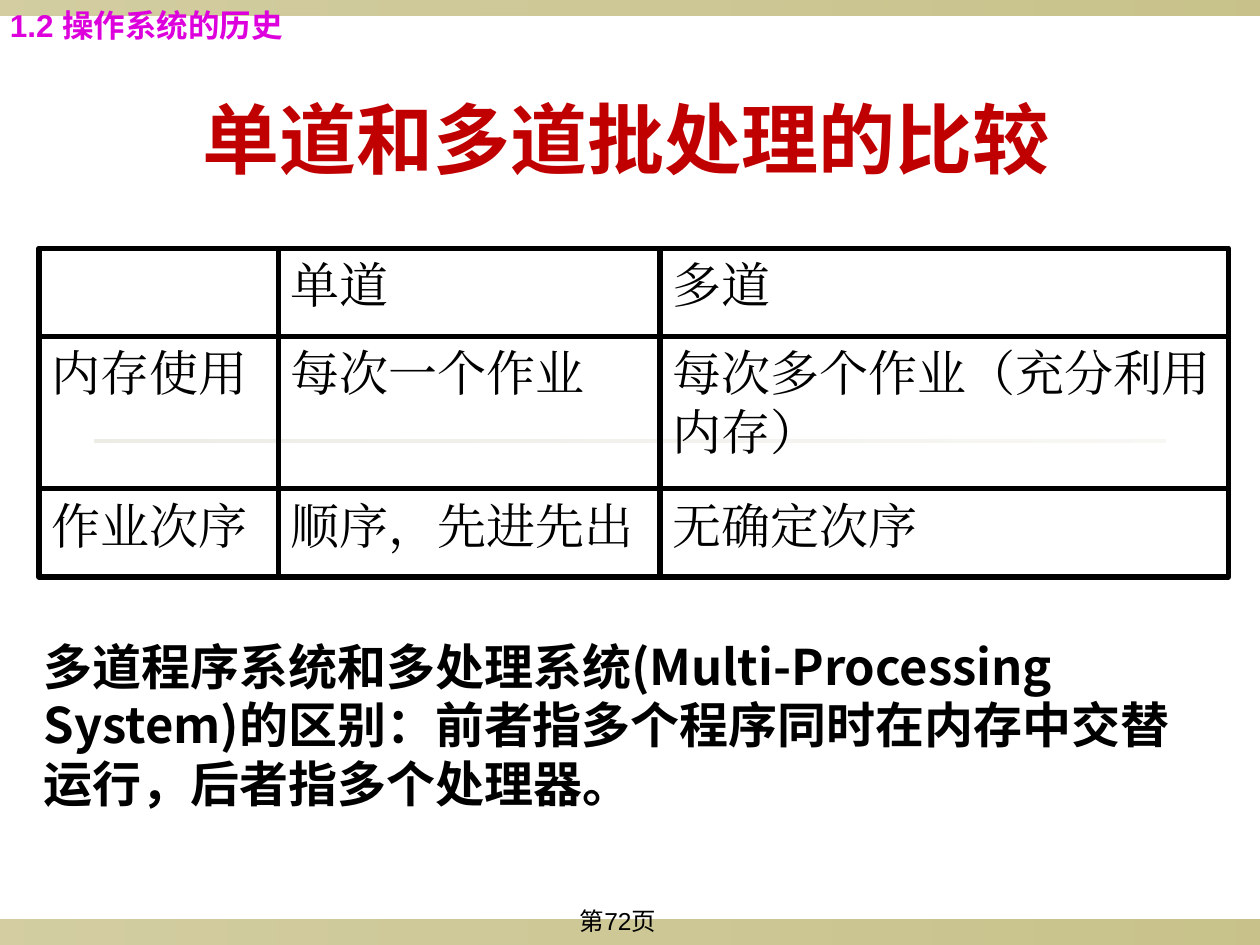
from itertools import accumulate

from lxml import etree
from pptx import Presentation
from pptx import util as u
from pptx.dml import color
from pptx.enum import shapes, text
from pptx.oxml import ns

COLORS = {
    "bar": "918415",
    "rule": "DCD9CC",
    "title": "C00000",
    "section": "DD00DD",
    "text": "000000",
}
CJK_FONT = "Noto Sans CJK SC"
ROWS = [
    ["", "单道", "多道"],
    ["内存使用", "每次一个作业", "每次多个作业（充分利用内存）"],
    ["作业次序", "顺序，先进先出", "无确定次序"],
]


def rgb(name):
    return color.RGBColor.from_string(COLORS[name])


def box(left, top, width, height):
    return tuple(u.Inches(value) for value in (left, top, width, height))


def add_run(paragraph, words, size, font, color_name="text", bold=False):
    run = paragraph.add_run()
    run.text = words
    run.font.size = u.Pt(size)
    run.font.name = font
    run.font.bold = bold
    run.font.color.rgb = rgb(color_name)
    east_asian = etree.SubElement(run.font._element, ns.qn("a:ea"))
    east_asian.set("typeface", CJK_FONT if bold else font)


def add_band(slide, area, color_name, opacities):
    shape = slide.shapes.add_shape(shapes.MSO_SHAPE.RECTANGLE, *area)
    shape.shadow.inherit = False
    shape.line.fill.background()
    shape.fill.gradient()
    shape.fill.gradient_angle = 0
    for stop, position in zip(shape.fill.gradient_stops, (0, 1)):
        stop.position = position
        stop.color.rgb = rgb(color_name)
    color_elements = shape._element.spPr.iter(ns.qn("a:srgbClr"))
    for element, opacity in zip(color_elements, opacities):
        etree.SubElement(element, ns.qn("a:alpha")).set("val", str(opacity * 1000))


def add_label(slide, area, words, size, font, color_name="text", bold=False,
              align=text.PP_ALIGN.LEFT, wrap=True, grow=True):
    frame = slide.shapes.add_textbox(*area).text_frame
    frame.word_wrap = wrap
    if grow:
        frame.auto_size = text.MSO_AUTO_SIZE.SHAPE_TO_FIT_TEXT
    paragraph = frame.paragraphs[0]
    paragraph.alignment = align
    add_run(paragraph, words, size, font, color_name, bold)


def place_title(slide, area, words):
    title = slide.shapes.title
    title.left, title.top, title.width, title.height = area
    frame = title.text_frame
    frame.vertical_anchor = text.MSO_ANCHOR.MIDDLE
    paragraph = frame.paragraphs[0]
    paragraph.alignment = text.PP_ALIGN.CENTER
    add_run(paragraph, words, 44, "Karla", "title", True)


def add_cell(group, area, words):
    cell = group.shapes.add_shape(shapes.MSO_SHAPE.RECTANGLE, *area)
    cell.shadow.inherit = False
    cell.fill.background()
    cell.line.color.rgb = rgb("text")
    cell.line.width = u.Pt(3)
    if words:
        frame = cell.text_frame
        frame.word_wrap = True
        frame.vertical_anchor = text.MSO_ANCHOR.TOP
        paragraph = frame.paragraphs[0]
        paragraph.alignment = text.PP_ALIGN.LEFT
        add_run(paragraph, words, 28, "Times New Roman")


def add_comparison(slide, left, top, rows, column_widths, row_heights):
    group = slide.shapes.add_group_shape()
    lefts = accumulate(column_widths, initial=left)
    columns = list(zip(lefts, column_widths))
    tops = accumulate(row_heights, initial=top)
    for row_top, height, entries in zip(tops, row_heights, rows):
        for (cell_left, width), words in zip(columns, entries):
            add_cell(group, box(cell_left, row_top, width, height), words)


def main():
    presentation = Presentation()
    presentation.slide_width = u.Inches(10)
    presentation.slide_height = u.Inches(7.5)
    slide = presentation.slides.add_slide(presentation.slide_layouts[5])

    add_band(slide, box(0, 7.3, 10, 0.2), "bar", (40, 50))
    add_band(slide, box(0, 0, 10, 0.12), "bar", (40, 50))
    add_band(slide, box(0.75, 3.49, 8.5, 0.02), "rule", (50, 20))
    add_label(slide, box(3.74, 7.14, 2.33, 0.36), "第72页", 14, "Arial",
              align=text.PP_ALIGN.CENTER, grow=False)
    place_title(slide, box(0.47, 0.47, 9, 1.25), "单道和多道批处理的比较")
    add_label(slide, box(0.25, 5, 9.25, 1.5),
              "多道程序系统和多处理系统(Multi-Processing System)的区别："
              "前者指多个程序同时在内存中交替运行，后者指多个处理器。",
              28, CJK_FONT, bold=True)
    add_comparison(slide, 0.31, 1.97, ROWS, (1.9, 3.03, 4.51), (0.7, 1.21, 0.7))
    add_label(slide, box(-0.02, 0, 2.42, 0.4), "1.2 操作系统的历史", 18, "Arial",
              "section", True, wrap=False)

    presentation.save("out.pptx")


if __name__ == "__main__":
    main()
